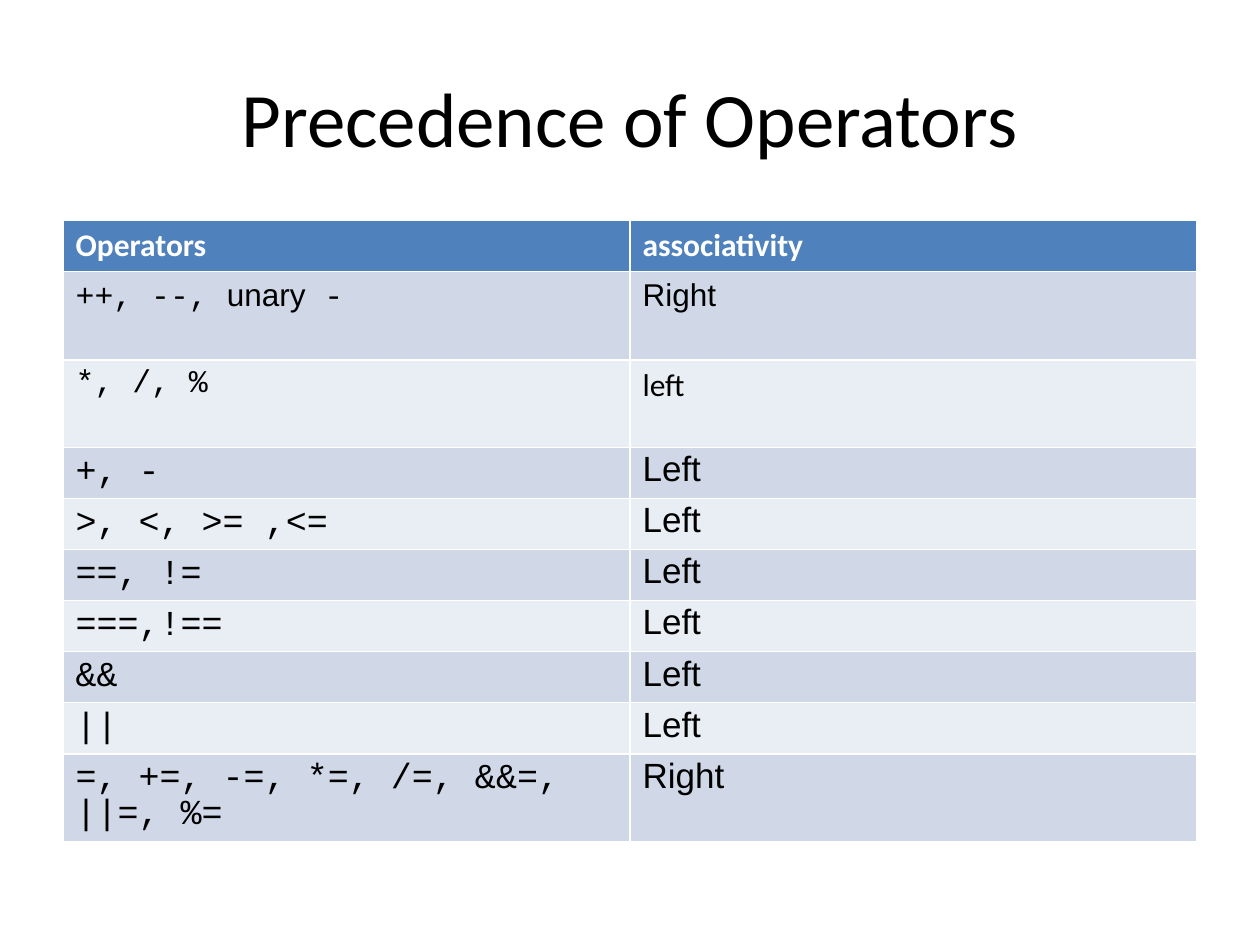
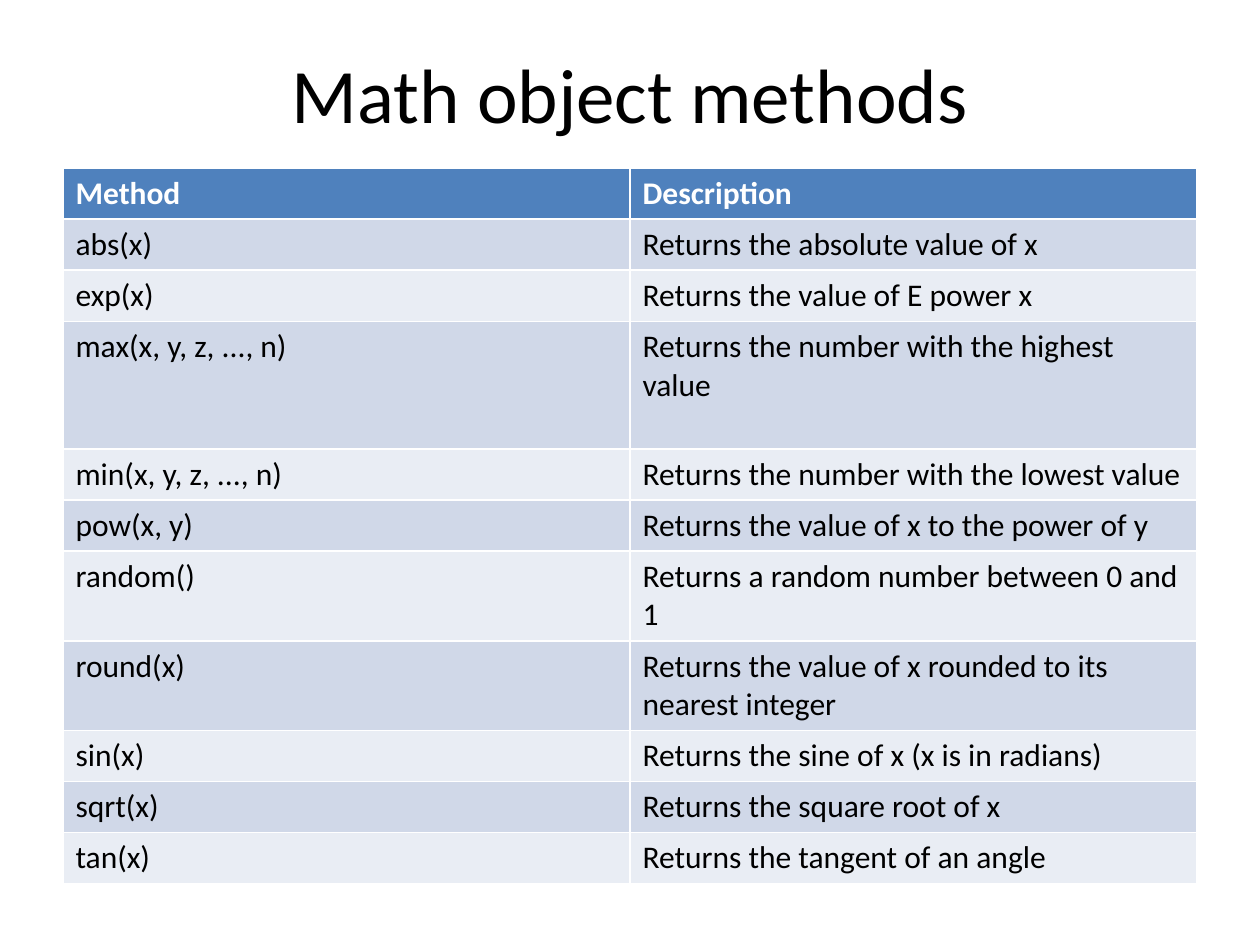
"""Build two slides: operator precedence and Math object methods."""
from lxml.etree import SubElement
from pptx import Presentation
from pptx.dml.color import RGBColor as RGB
from pptx.enum.text import MSO_ANCHOR as ANCHOR, PP_ALIGN as ALIGN
from pptx.oxml.ns import qn
from pptx.util import Pt

HUES = {"head": "4F81BD", "odd": "D0D8E8", "even": "E9EDF4",
        "text": "000000", "light": "FFFFFF"}
SANS, MONO, BODY = "Arial", "Courier New", "Calibri"
LEFT, WIDTH, ROW = 36, 648, 29.2


def style(font, name, size, hue, bold=False):
    font.name, font.size, font.bold = name, Pt(size), bold
    font.color.rgb = RGB.from_string(HUES[hue])


def tighten(para):
    para.line_spacing = 0.9
    space = SubElement(para._p.get_or_add_pPr(), qn("a:spcBef"))
    SubElement(space, qn("a:spcPct")).set("val", "30000")


ranks = [
    (("Operators", "associativity"), (BODY, BODY), 18, ROW),
    (([("++, --, ", MONO), ("unary", SANS), (" -", MONO)], "Right"), (MONO, SANS), 18, 50.4),
    (("*, /, %", "left"), (MONO, BODY), 18, 50),
]
for signs in ("+, -", ">, <, >= ,<=", "==, !=", "===,!==", "&&", "||"):
    ranks.append(((signs, "Left"), (MONO, SANS), 20, ROW))
ranks.append((("=, +=, -=, *=, /=, &&=, ||=, %=", "Right"), (MONO, SANS), 20, 47))

calls = [
    ("Method", "Description", ROW),
    ("abs(x)", "Returns the absolute value of x", ROW),
    ("exp(x)", "Returns the value of E power x", ROW),
    ("max(x, y, z, ..., n)", "Returns the number with the highest value", 73),
    ("min(x, y, z, ..., n)", "Returns the number with the lowest value", ROW),
    ("pow(x, y)", "Returns the value of x to the power of y", ROW),
    ("random()", "Returns a random number between 0 and 1", 51.2),
    ("round(x)", "Returns the value of x rounded to its nearest integer", 51.2),
    ("sin(x)", "Returns the sine of x (x is in radians)", ROW),
    ("sqrt(x)", "Returns the square root of x", ROW),
    ("tan(x)", "Returns the tangent of an angle", ROW),
]
maths = [((call, note), (BODY, BODY), 18, tall) for call, note, tall in calls]

pages = [
    ("Precedence of Operators", 90, 126, ranks),
    ("Math object methods", 62.6, 96, maths),
]

deck = Presentation()
deck.slide_width, deck.slide_height = Pt(720), Pt(540)

for title, depth, top, rows in pages:
    slide = deck.slides.add_slide(deck.slide_layouts[6])
    box = slide.shapes.add_textbox(Pt(LEFT), Pt(21.6), Pt(WIDTH), Pt(depth))
    frame = box.text_frame
    frame.word_wrap = True
    frame.vertical_anchor = ANCHOR.MIDDLE
    para = frame.paragraphs[0]
    para.text, para.alignment = title, ALIGN.CENTER
    style(para.font, BODY, 44, "text")

    total = sum(row[3] for row in rows)
    grid = slide.shapes.add_table(len(rows), 2, Pt(LEFT), Pt(top), Pt(WIDTH), Pt(total)).table
    for r, (texts, fonts, size, tall) in enumerate(rows):
        grid.rows[r].height = Pt(tall)
        fill = "head" if r == 0 else "odd" if r % 2 else "even"
        hue = "light" if r == 0 else "text"
        for c, (text, name) in enumerate(zip(texts, fonts)):
            cell = grid.cell(r, c)
            cell.fill.solid()
            cell.fill.fore_color.rgb = RGB.from_string(HUES[fill])
            para = cell.text_frame.paragraphs[0]
            if size == 20:
                tighten(para)
            style(para.font, name, size, hue, r == 0)
            if isinstance(text, str):
                para.text = text
                continue
            for part, face in text:
                run = para.add_run()
                run.text, run.font.name = part, face

deck.save("out.pptx")
